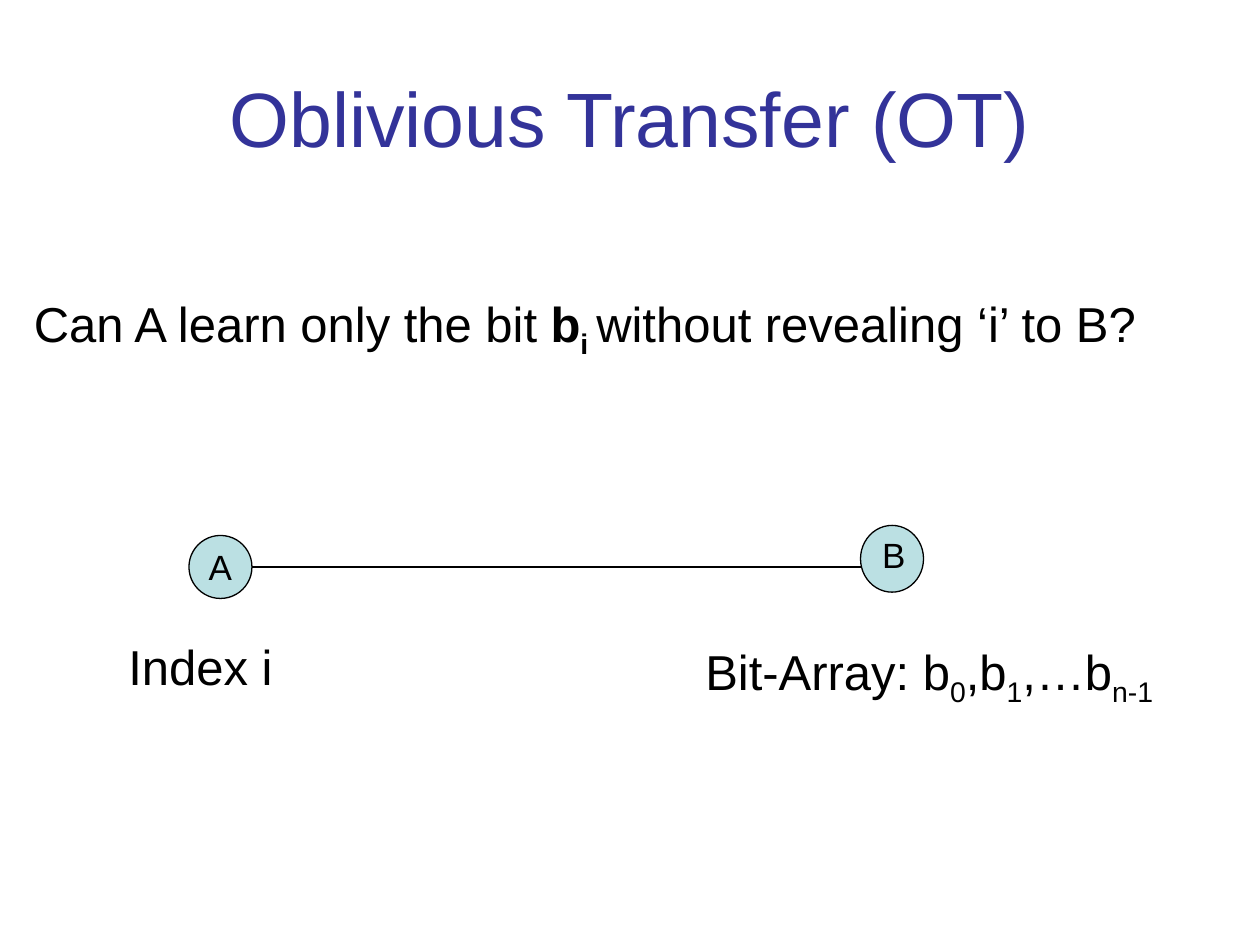
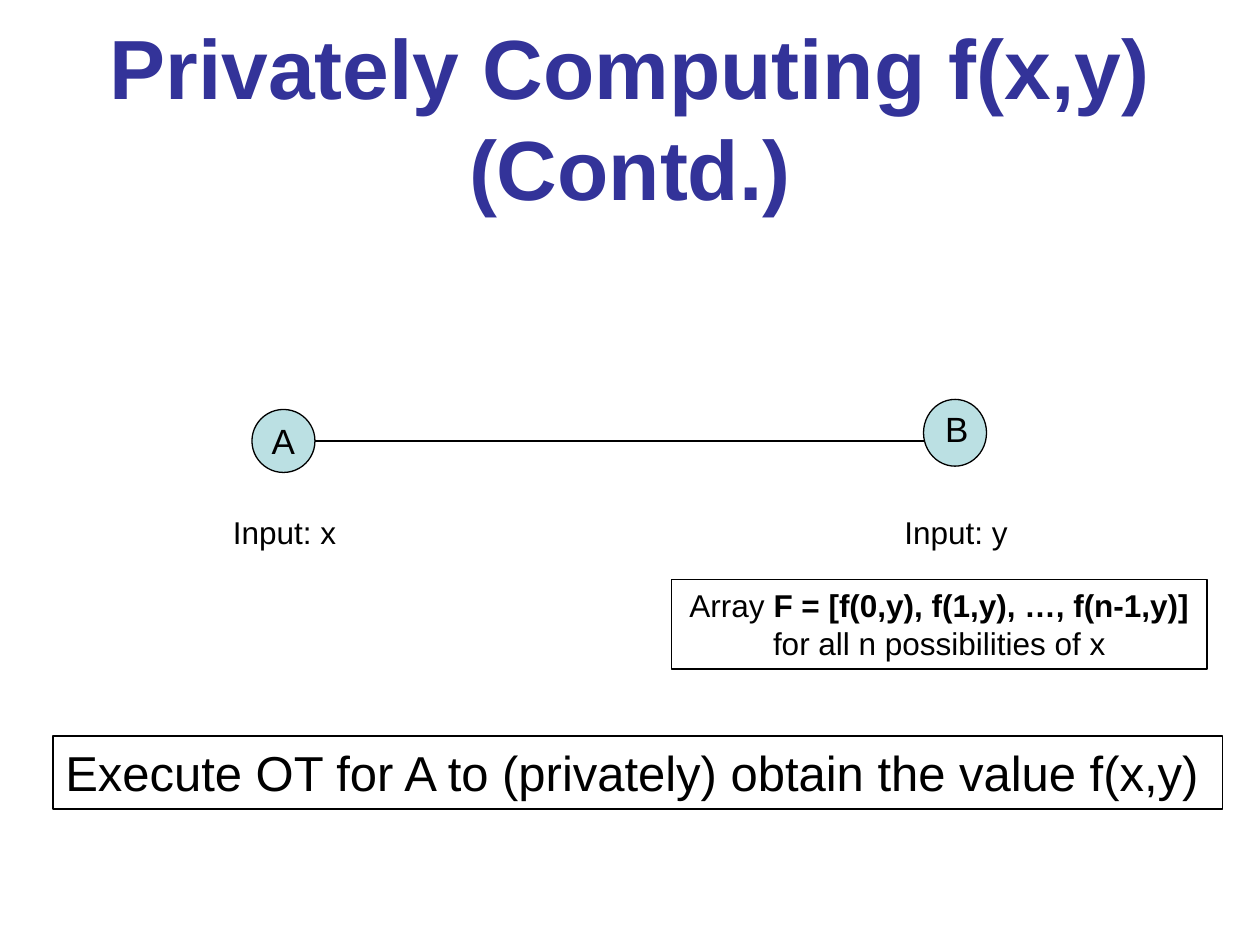
from dataclasses import dataclass

from lxml.etree import SubElement
from pptx import Presentation
from pptx.dml.color import RGBColor
from pptx.enum.shapes import MSO_CONNECTOR, MSO_SHAPE
from pptx.enum.text import MSO_ANCHOR, PP_ALIGN
from pptx.oxml.ns import qn
from pptx.util import Inches, Pt


@dataclass(frozen=True)
class Theme:
    """Colours, font and type sizes shared by the slides."""
    font: str = "Arial"
    title: RGBColor = RGBColor(0x33, 0x33, 0x99)
    ink: RGBColor = RGBColor(0, 0, 0)
    node: RGBColor = RGBColor(0xBB, 0xE0, 0xE3)
    line: float = 0.75
    title_size: int = 44
    title_bold_size: int = 48
    body_size: int = 28
    node_size: int = 20
    note_size: int = 18


THEME = Theme()


def add_run(p, text, size, color=THEME.ink, bold=False, sub=False):
    """Append one formatted run to a paragraph."""
    r = p.add_run()
    r.text = text
    font = r.font
    font.name, font.size, font.bold = THEME.font, Pt(size), bold
    font.color.rgb = color
    if sub:
        r._r.get_or_add_rPr().set("baseline", "-25000")


def write(sp, runs, size, align=PP_ALIGN.LEFT, anchor=MSO_ANCHOR.TOP, wrap=True):
    """Fill a shape with one paragraph of (text, style flags) runs."""
    tf = sp.text_frame
    tf.word_wrap, tf.vertical_anchor = wrap, anchor
    p = tf.paragraphs[0]
    p.alignment = align
    for text, flags in runs:
        add_run(p, text, size, bold="b" in flags, sub="s" in flags)
    return p


def add_title(s, lines, size, bold=False):
    """Add the centred slide title, one run per line."""
    sp = s.shapes.add_textbox(Inches(0.5), Inches(0.3), Inches(9), Inches(1.25))
    p = write(sp, [], size, PP_ALIGN.CENTER, MSO_ANCHOR.MIDDLE)
    for i, line in enumerate(lines):
        if i:
            p.add_line_break()
        add_run(p, line, size, THEME.title, bold)


def add_text(s, box, runs, size=THEME.body_size, wrap=True):
    """Add a plain text box."""
    sp = s.shapes.add_textbox(*map(Inches, box))
    write(sp, runs, size, wrap=wrap)


def add_outlined(s, kind, box, fill=None):
    """Add a preset shape with the thin outline, filled or hollow."""
    sp = s.shapes.add_shape(kind, *map(Inches, box))
    sp.shadow.inherit = False
    sp.line.color.rgb, sp.line.width = THEME.ink, Pt(THEME.line)
    if fill is None:
        sp.fill.background()
    else:
        sp.fill.solid()
        sp.fill.fore_color.rgb = fill
    return sp


def add_boxed_text(s, box, runs, size, align=PP_ALIGN.LEFT):
    """Add text in an outlined rectangle."""
    write(add_outlined(s, MSO_SHAPE.RECTANGLE, box), runs, size, align)


def add_parties(s, x, y):
    """Add parties A and B joined by a line at height y."""
    d, b_x = 0.5, x + 5.33
    a = add_outlined(s, MSO_SHAPE.OVAL, (x, y - d / 2, d, d), THEME.node)
    write(a, [("A", "")], THEME.node_size, PP_ALIGN.CENTER, MSO_ANCHOR.MIDDLE, False)
    link = s.shapes.add_connector(
        MSO_CONNECTOR.STRAIGHT, Inches(x + d), Inches(y), Inches(b_x), Inches(y))
    link.line.color.rgb, link.line.width = THEME.ink, Pt(THEME.line)
    SubElement(link._element.spPr, qn("a:effectLst"))
    b = add_outlined(s, MSO_SHAPE.OVAL, (b_x, y - 0.33, d, 0.53), THEME.node)
    p = write(b, [("B", "")], THEME.node_size)
    p.line_spacing, p.space_before = 0.8, Pt(4)


def build_transfer(s):
    """Build the slide that poses the oblivious transfer question."""
    add_title(s, ["Oblivious Transfer (OT)"], THEME.title_size)
    add_parties(s, 1.5, 4.5)
    add_text(s, (0.92, 5, 1.5, 0.57), [("Index i", "")])
    add_text(s, (5.5, 5.04, 3.92, 0.57), [
        ("Bit-Array: b", ""), ("0", "s"), (",b", ""), ("1", "s"),
        (",…b", ""), ("n-1", "s")])
    add_text(s, (0.17, 2.28, 9.13, 0.57), [
        ("Can A learn only the bit ", ""), ("b", "b"), ("i ", "bs"),
        ("without revealing ‘i’ to B?", "")])


def build_computing(s):
    """Build the slide that applies the transfer to f(x,y)."""
    add_title(s, ["Privately Computing f(x,y)", "(Contd.)"],
              THEME.title_bold_size, bold=True)
    add_parties(s, 2, 3.5)
    for x, name in ((1.75, "x"), (7.08, "y")):
        add_text(s, (x, 4.02, 1.02, 0.4), [(f"Input: {name}", "")],
                 THEME.note_size, wrap=False)
    add_boxed_text(s, (0.42, 5.84, 9.28, 0.58), [
        ("Execute OT for A to (privately) obtain the value f(x,y)", "")],
        THEME.body_size)
    add_boxed_text(s, (5.33, 4.6, 4.25, 0.71), [
        ("Array ", ""), ("F = [f(0,y), f(1,y), …, f(n-1,y)]", "b"),
        (" for all n possibilities of x", "")],
        THEME.note_size, PP_ALIGN.CENTER)


def main():
    """Build and save the presentation."""
    prs = Presentation()
    prs.slide_width, prs.slide_height = Inches(10), Inches(7.5)
    for build in (build_transfer, build_computing):
        build(prs.slides.add_slide(prs.slide_layouts[6]))
    prs.save("out.pptx")


if __name__ == "__main__":
    main()
